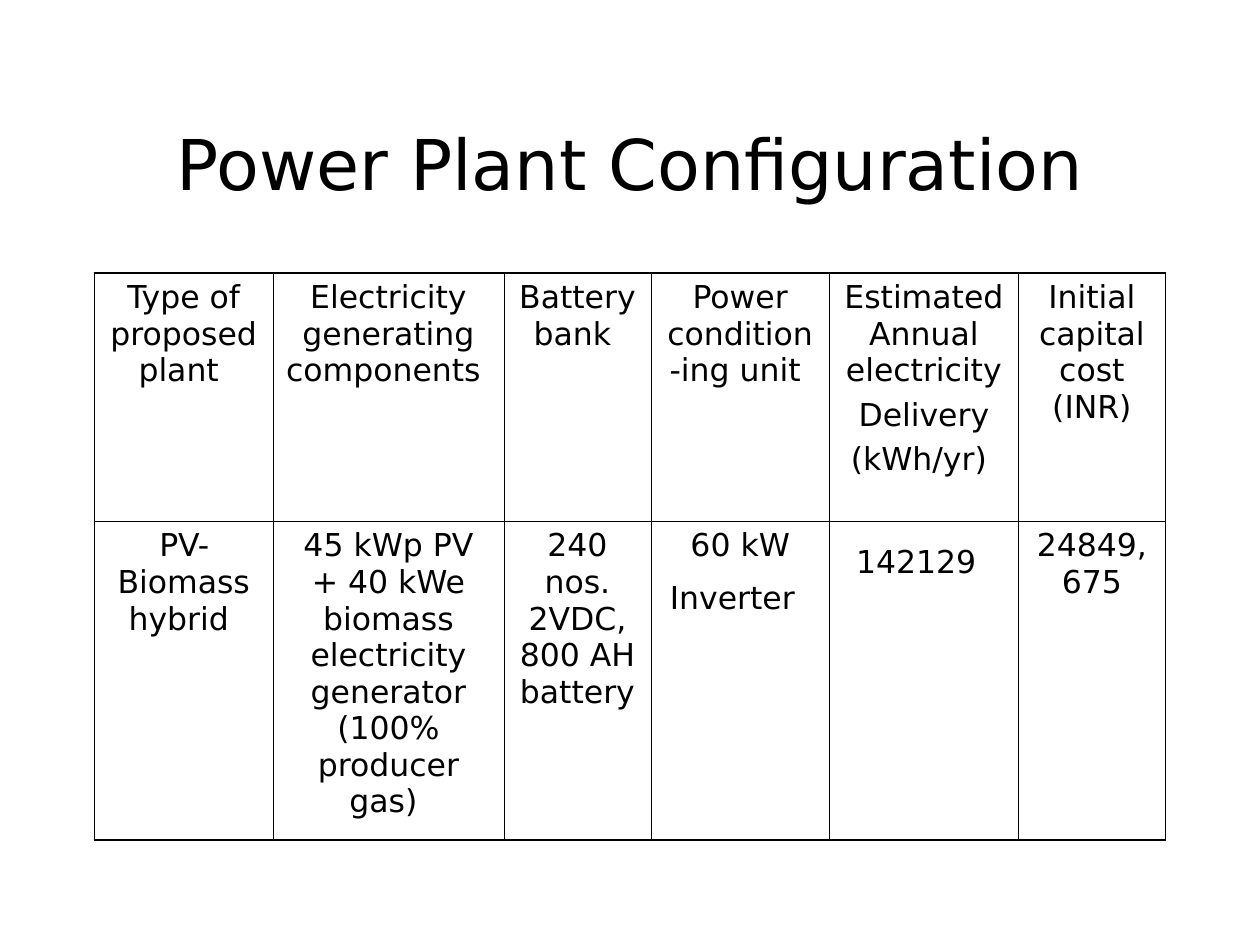
from lxml.etree import SubElement
from pptx import Presentation
from pptx.dml.color import RGBColor
from pptx.enum.text import MSO_ANCHOR, PP_ALIGN
from pptx.oxml.ns import qn
from pptx.util import Pt

BLACK = RGBColor(0, 0, 0)
FONT = "DejaVu Sans"
TITLE_SIZE, CELL_SIZE, SPACER_SIZE = 40, 18, 28
THIN, THICK = 0.45, 1.08

COLUMN_WIDTHS = [102, 132, 84, 102, 108, 84]
ROW_HEIGHTS = [142, 182]
# Each cell is a list of paragraphs, each paragraph a list of (text, size) runs.
HEADERS = [
    ["Type of proposed plant "],
    ["Electricity generating components "],
    ["Battery bank "],
    ["Power condition-ing unit "],
    ["Estimated Annual electricity", "Delivery", "(kWh/yr) "],
    ["Initial capital cost (INR)"],
]
PLANT = [
    ["PV-Biomass hybrid "],
    ["45 kWp PV + 40 kWe biomass electricity generator (100% producer gas) "],
    ["240 nos. 2VDC, 800 AH battery"],
    ["60 kW Inverter"],
    ["142129"],
    ["24849,675"],
]
SPACED_CELLS = {(1, 3), (1, 4)}  # cells whose text ends in a larger space


class SlideBuilder:
    def __init__(self, slide):
        self.slide = slide

    def style_run(self, r, size):
        r.font.name = FONT
        r.font.size = Pt(size)
        r.font.color.rgb = BLACK

    def title(self, text, left, top, width, height):
        sp = self.slide.shapes.title
        sp.left, sp.top, sp.width, sp.height = Pt(left), Pt(top), Pt(width), Pt(height)
        tf = sp.text_frame
        tf.text = text
        tf.vertical_anchor = MSO_ANCHOR.MIDDLE
        p = tf.paragraphs[0]
        p.alignment = PP_ALIGN.CENTER
        self.style_run(p.runs[0], TITLE_SIZE)

    def table(self, rows, left, top):
        frame = self.slide.shapes.add_table(
            len(rows), len(COLUMN_WIDTHS), Pt(left), Pt(top),
            Pt(sum(COLUMN_WIDTHS)), Pt(sum(ROW_HEIGHTS)))
        table = frame.table
        table.first_row = table.horz_banding = False
        for column, width in zip(table.columns, COLUMN_WIDTHS):
            column.width = Pt(width)
        last_row, last_col = len(rows) - 1, len(COLUMN_WIDTHS) - 1
        for i, row in enumerate(rows):
            table.rows[i].height = Pt(ROW_HEIGHTS[i])
            for j, lines in enumerate(row):
                cell = table.cell(i, j)
                self.cell_text(cell, lines, (i, j) in SPACED_CELLS)
                outer = {"L": j == 0, "R": j == last_col,
                         "T": i == 0, "B": i == last_row}
                self.cell_borders(cell, outer)
                cell.fill.background()

    def cell_text(self, cell, lines, spaced):
        tf = cell.text_frame
        tf.text = "\n".join(lines)
        for n, p in enumerate(tf.paragraphs):
            p.alignment = PP_ALIGN.CENTER
            p.space_before = Pt(4.5 if n else 0)
            self.style_run(p.runs[0], CELL_SIZE)
        if spaced:
            r = tf.paragraphs[-1].add_run()
            r.text = " "
            self.style_run(r, SPACER_SIZE)

    def cell_borders(self, cell, outer):
        """Draw thick lines on the sides marked as outer and thin ones elsewhere."""
        tcPr = cell._tc.get_or_add_tcPr()
        for side, is_outer in outer.items():
            width = Pt(THICK if is_outer else THIN)
            ln = SubElement(tcPr, qn(f"a:ln{side}"), w=str(width))
            fill = SubElement(ln, qn("a:solidFill"))
            SubElement(fill, qn("a:srgbClr"), val=str(BLACK))


def main():
    prs = Presentation()
    prs.slide_width, prs.slide_height = Pt(720), Pt(540)
    s = SlideBuilder(prs.slides.add_slide(prs.slide_layouts[5]))
    s.title("Power Plant Configuration", 54, 48, 612, 90)
    s.table([HEADERS, PLANT], 54, 156)
    prs.save("out.pptx")


if __name__ == "__main__":
    main()
